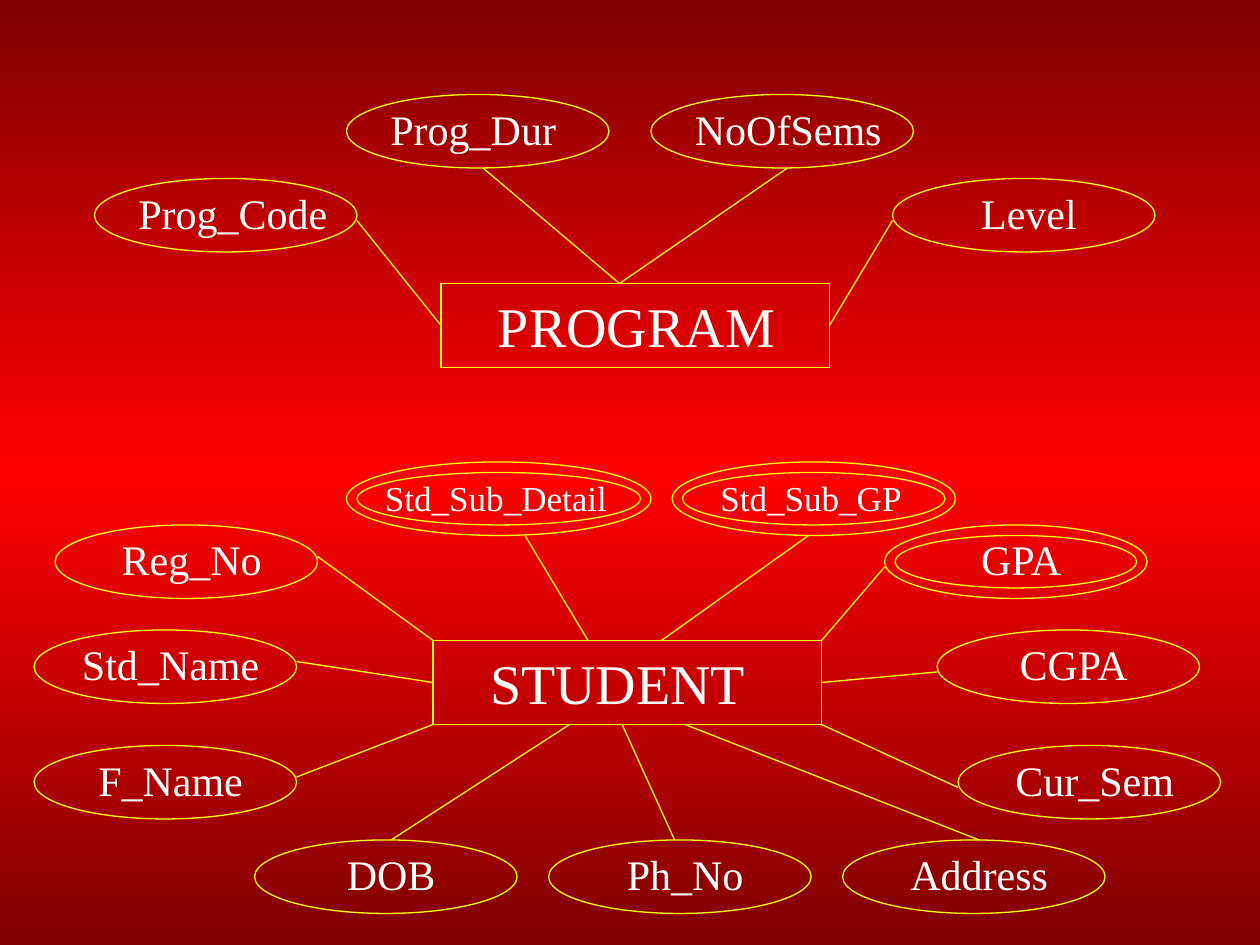
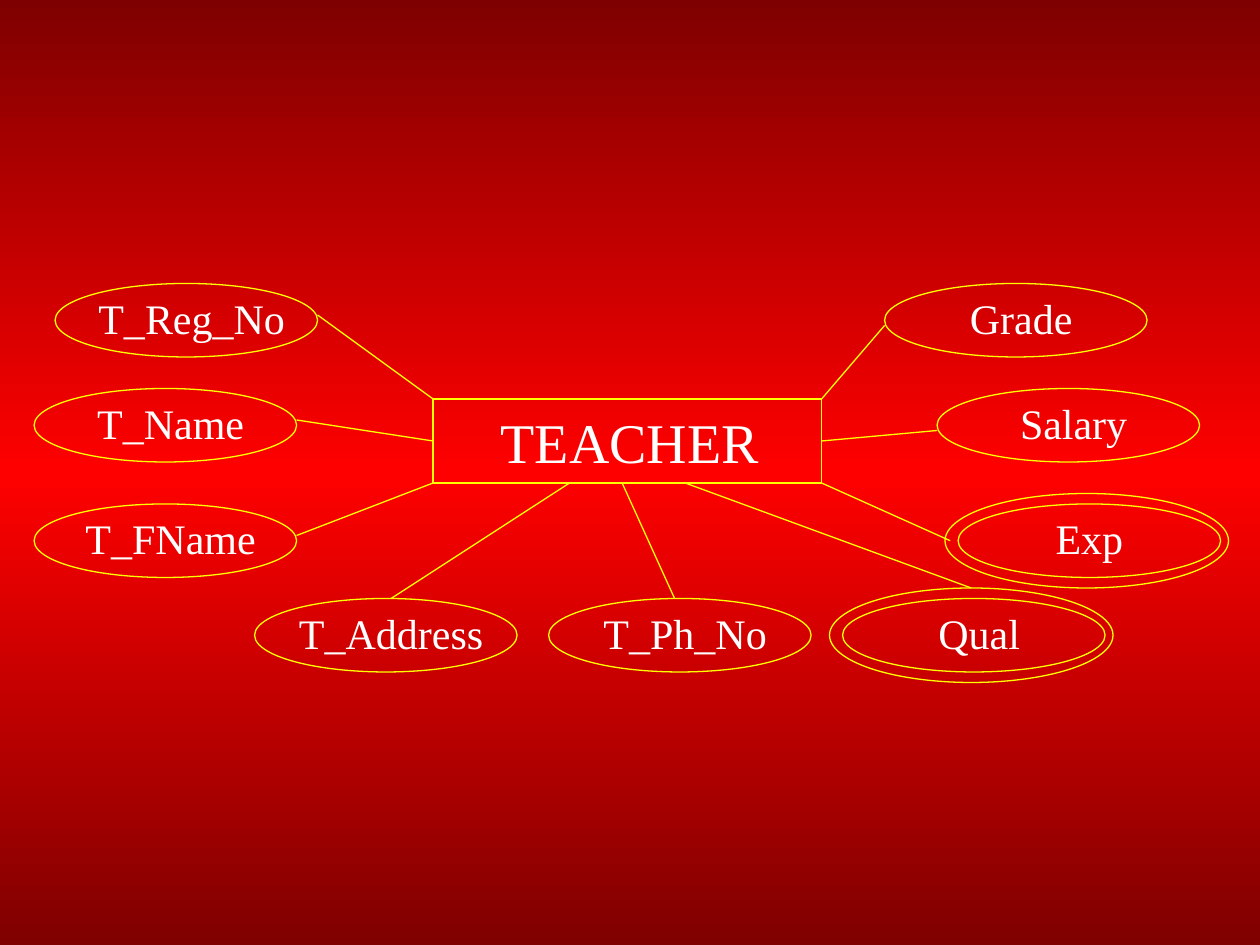
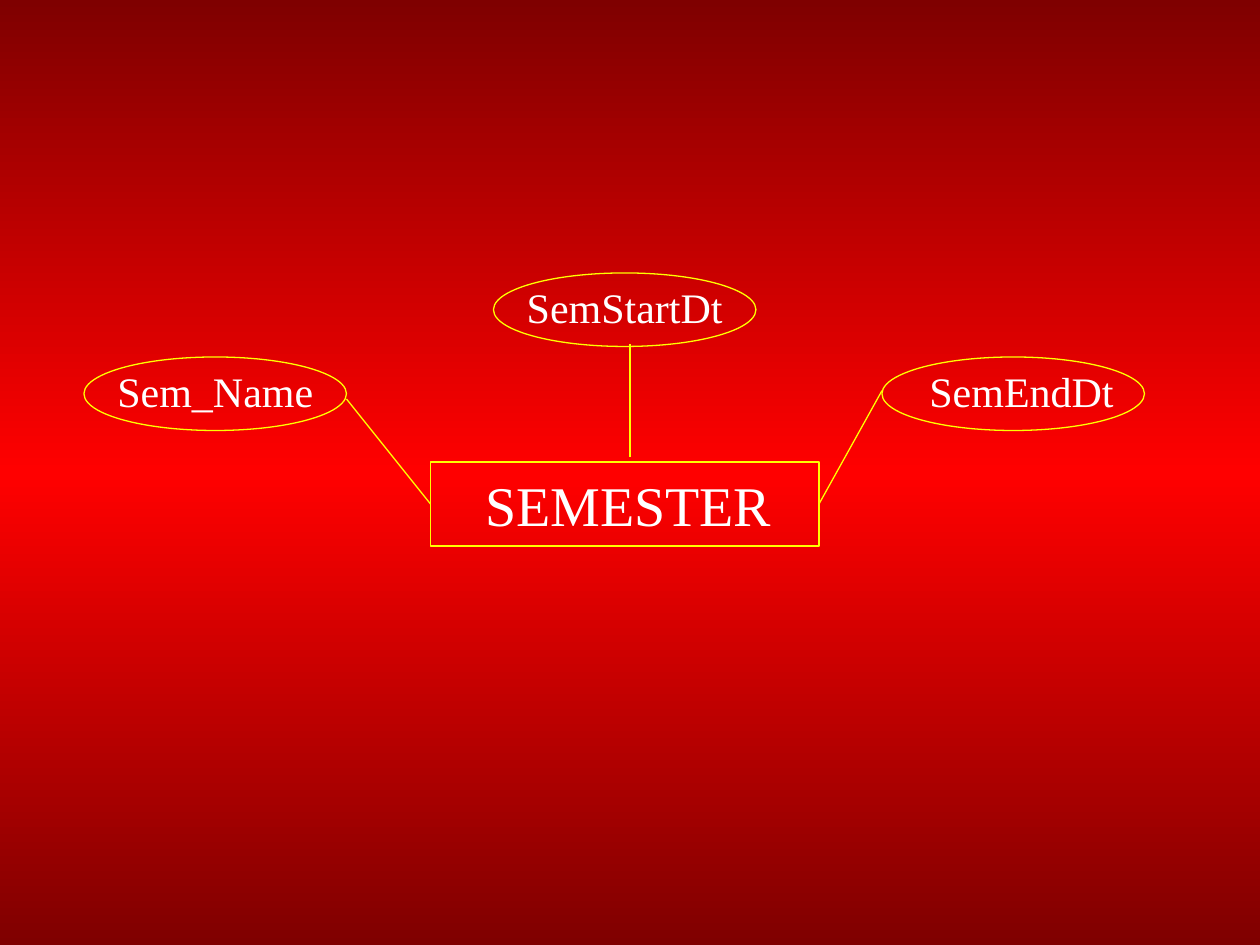
from copy import deepcopy

from lxml import etree
from pptx import Presentation
from pptx.dml.color import RGBColor
from pptx.enum.shapes import MSO_CONNECTOR, MSO_SHAPE
from pptx.enum.text import MSO_AUTO_SIZE, PP_ALIGN
from pptx.oxml.ns import qn
from pptx.util import Inches, Pt

LEFT, CENTER = PP_ALIGN.LEFT, PP_ALIGN.CENTER
RECTANGLE, OVAL = MSO_SHAPE.RECTANGLE, MSO_SHAPE.OVAL
STRAIGHT = MSO_CONNECTOR.STRAIGHT
FIT_SHAPE = MSO_AUTO_SIZE.SHAPE_TO_FIT_TEXT

DARK_RED = RGBColor(0x7F, 0x00, 0x00)
RED = RGBColor(0xFF, 0x00, 0x00)
YELLOW = RGBColor(0xFF, 0xFF, 0x00)
WHITE = RGBColor(0xFF, 0xFF, 0xFF)
FONT = "Times New Roman"
LINE_WIDTH = Pt(0.75)

# Everything sits on a grid of twelfths of an inch.
# Places inside a diagram are counted from its entity's top left corner.
CELLS_PER_INCH = 12
ENTITY_W, ENTITY_H = 37, 8
OVAL_W, OVAL_H = 25, 7
LABEL_W, LABEL_H = 22, 6

# Ovals and spokes shared by the STUDENT and TEACHER diagrams
FAN_OVALS = [(-36, -11), (-38, -1), (-38, 10), (-17, 19), (11, 19),
             (39, 19), (50, 10), (48, -1), (43, -11)]
FAN_SPOKES = [((0, 0), (-11, -8)), ((37, 0), (43, -7)),
              ((0, 4), (-13, 2)), ((37, 4), (48, 3)),
              ((0, 8), (-13, 13)), ((13, 8), (-4, 19)), ((18, 8), (23, 19))]


def fan(names, **label_formats):
    return [(name, place, label_formats.get(name, {}))
            for name, place in zip(names, FAN_OVALS)]


INDENTED = {"label_dx": 3, "align": LEFT}

# Attributes are (name, oval place, formats); rings are (x, y, width, height)
PROGRAM = {
    "name": "PROGRAM", "at": (42, 27), "title": {"align": LEFT},
    "attributes": [("Prog_Code", (-33, -10), INDENTED),
                   ("Prog_Dur", (-9, -18), INDENTED),
                   ("NoOfSems", (20, -18), INDENTED),
                   ("Level", (43, -10), {})],
    "spokes": [((-8, -6), (0, 4)), ((4, -11), (17, 0)),
               ((33, -11), (17, 0)), ((43, -6), (37, 4))],
    "rings": [],
}
STUDENT = {
    "name": "STUDENT", "at": (41.25, 61), "title": {"align": LEFT},
    "attributes": fan(["Reg_No", "Std_Name", "F_Name", "DOB", "Ph_No",
                       "Address", "Cur_Sem", "CGPA", "GPA"]) + [
        ("Std_Sub_GP", (22.75, -17),
         {"oval_w": 27, "label_dx": 1.25, "label_dy": 0.75, "label_w": 24, "size": 20}),
        ("Std_Sub_Detail", (-8.25, -17),
         {"oval_w": 29, "label_dx": -0.25, "label_dy": 0.75, "label_w": 29, "size": 20})],
    "spokes": FAN_SPOKES + [((24, 8), (52, 19)), ((37, 8), (50, 14)),
                            ((35.75, -10), (21.75, 0)), ((8.75, -10), (14.75, 0))],
    "rings": [(44, -10, 23, 5), (23.75, -16, 25, 5), (-7.25, -16, 27, 5)],
}
TEACHER = {
    "name": "TEACHER", "at": (41.25, 38), "title": {},
    "attributes": fan(["T_Reg_No", "T_Name", "T_FName", "T_Address", "T_Ph_No",
                       "Qual", "Exp", "Salary", "Grade"], Exp={"label_dx": 1.5}),
    "spokes": FAN_SPOKES + [((24, 8), (51.25, 18)), ((37, 8), (49.25, 13.5))],
    "rings": [(48.75, 9, 27, 9), (37.75, 18, 27, 9)],
}
SEMESTER = {
    "name": "SEMESTER", "at": (41, 44), "title": {"dx": 3.25, "width": 31.2},
    "attributes": [("Sem_Name", (-33, -10), {"label_dx": 2, "label_w": 24, "align": LEFT}),
                   ("SemStartDt", (6, -18), {"label_dx": 0, "label_w": 25}),
                   ("SemEndDt", (43, -10), {"label_dx": 1.8, "label_w": 23})],
    "spokes": [((-8, -6), (0, 4)), ((19, -11.25), (19, -0.5)), ((43, -6.8), (37, 4))],
    "rings": [],
}
SLIDES = [[PROGRAM, STUDENT], [TEACHER], [SEMESTER]]

# Connection sites at the middles of the entity's sides
SIDE_SITES = {(ENTITY_W / 2, 0): 0, (0, ENTITY_H / 2): 1,
              (ENTITY_W / 2, ENTITY_H): 2, (ENTITY_W, ENTITY_H / 2): 3}


def cells(*counts):
    return [Inches(count / CELLS_PER_INCH) for count in counts]


def paint_background(master):
    fill = master.background.fill
    fill.gradient()
    fill.gradient_angle = 270
    stop_list = master.element.find(".//" + qn("a:gsLst"))
    stop_list.append(deepcopy(stop_list[0]))
    looks = [(0, DARK_RED), (0.5, RED), (1, DARK_RED)]
    for stop, (position, color) in zip(fill.gradient_stops, looks):
        stop.position = position
        stop.color.rgb = color


def draw_line(line):
    line.color.rgb = YELLOW
    line.width = LINE_WIDTH


def add_outline(slide, kind, x, y, width, height):
    outline = slide.shapes.add_shape(kind, *cells(x, y, width, height))
    outline.shadow.inherit = False
    outline.fill.background()
    draw_line(outline.line)
    return outline


def add_text(slide, text, x, y, width, height=LABEL_H, size=24, align=CENTER):
    box = slide.shapes.add_textbox(*cells(x, y, width, height))
    frame = box.text_frame
    frame.word_wrap = True
    frame.auto_size = FIT_SHAPE
    paragraph = frame.paragraphs[0]
    paragraph.text = text
    paragraph.alignment = align
    font = paragraph.runs[0].font
    font.name, font.size = FONT, Pt(size)
    font.color.rgb = WHITE


def add_attribute(slide, name, x, y, oval_w=OVAL_W, label_dx=2, label_dy=0.25,
                  label_w=LABEL_W, **text_format):
    add_outline(slide, OVAL, x, y, oval_w, OVAL_H)
    add_text(slide, name, x + label_dx, y + label_dy, label_w, **text_format)


def add_spoke(slide, entity, left, top, start, end):
    spoke = slide.shapes.add_connector(
        STRAIGHT, *cells(left + start[0], top + start[1], left + end[0], top + end[1]))
    draw_line(spoke.line)
    etree.SubElement(spoke.element.spPr, qn("a:effectLst"))
    if start in SIDE_SITES:
        spoke.begin_connect(entity, SIDE_SITES[start])
    if end in SIDE_SITES:
        spoke.end_connect(entity, SIDE_SITES[end])


def add_diagram(slide, diagram):
    left, top = diagram["at"]
    # Entity
    entity = add_outline(slide, RECTANGLE, left, top, ENTITY_W, ENTITY_H)
    title = {"dx": 4.25, "width": 29, "align": CENTER} | diagram["title"]
    add_text(slide, diagram["name"], left + title["dx"], top + 0.2, title["width"],
             height=7.7, size=32, align=title["align"])
    # Attributes
    for name, (x, y), formats in diagram["attributes"]:
        add_attribute(slide, name, left + x, top + y, **formats)
    # Spokes between entity and attributes
    for start, end in diagram["spokes"]:
        add_spoke(slide, entity, left, top, start, end)
    # Second rings of the multivalued attributes
    for x, y, width, height in diagram["rings"]:
        add_outline(slide, OVAL, left + x, top + y, width, height)


def main():
    prs = Presentation()
    prs.slide_width, prs.slide_height = Inches(10), Inches(7.5)
    paint_background(prs.slide_master)
    blank = prs.slide_layouts[6]
    for diagrams in SLIDES:
        slide = prs.slides.add_slide(blank)
        for diagram in diagrams:
            add_diagram(slide, diagram)
    prs.save("out.pptx")


if __name__ == "__main__":
    main()
